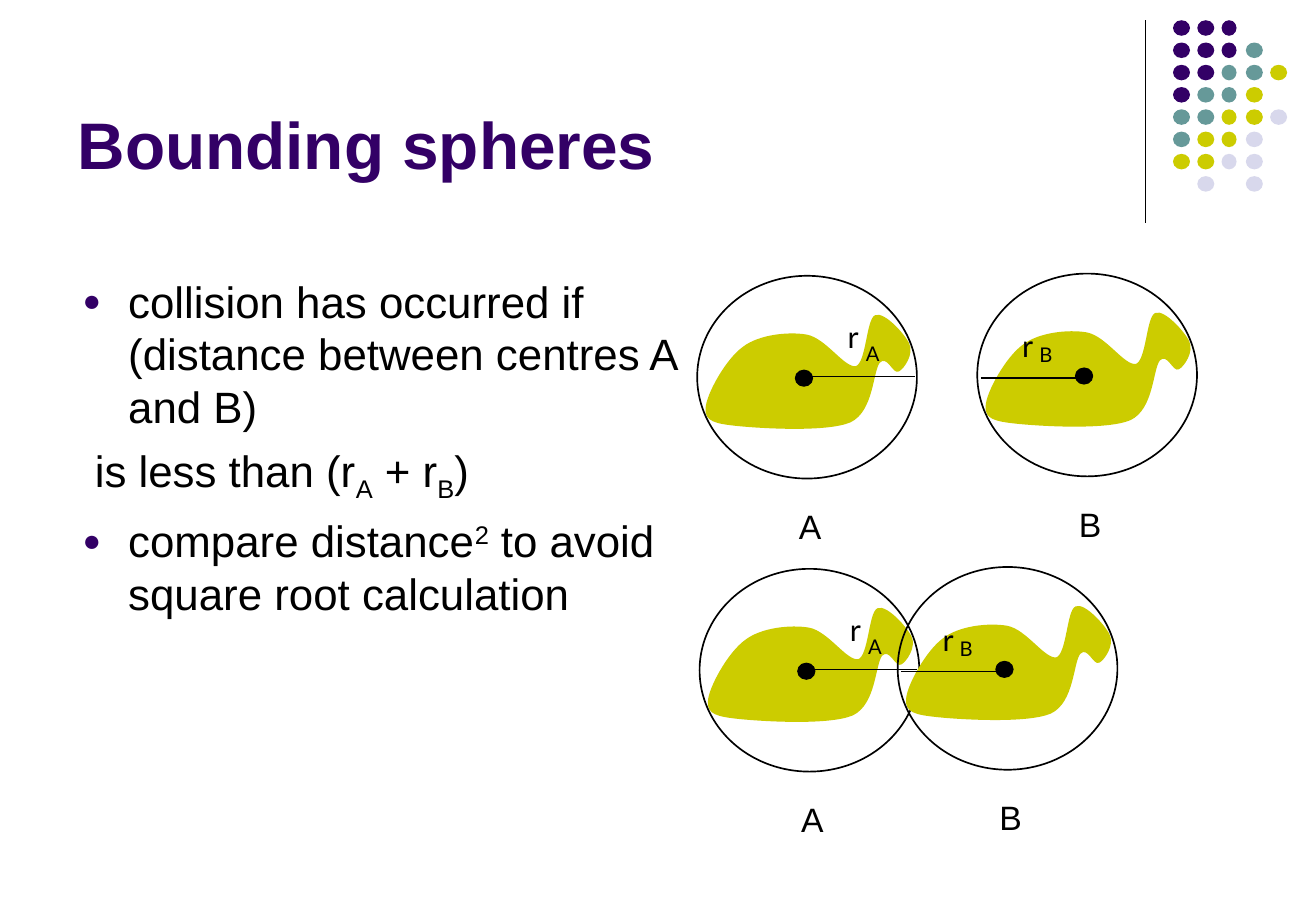
from lxml.etree import SubElement
from pptx import Presentation
from pptx.dml.color import RGBColor
from pptx.enum.shapes import MSO_CONNECTOR, MSO_SHAPE
from pptx.enum.text import MSO_ANCHOR, MSO_AUTO_SIZE, PP_ALIGN
from pptx.oxml.ns import qn
from pptx.util import Pt

PURPLE, TEAL, OLIVE, LILAC, BLACK = "330066", "669999", "CCCC00", "D8D8EC", "000000"
colour = RGBColor.from_string


def add_line(shapes, x1, y1, x2, y2):
    line = shapes.add_connector(MSO_CONNECTOR.STRAIGHT, Pt(x1), Pt(y1), Pt(x2), Pt(y2))
    line.line.color.rgb = colour(BLACK)
    line.line.width = Pt(0.75)
    SubElement(line._element.spPr, qn("a:effectLst"))


def set_font(paragraph, name, size, colour_hex, bold=False):
    paragraph.font.name = name
    paragraph.font.size = Pt(size)
    paragraph.font.color.rgb = colour(colour_hex)
    paragraph.font.bold = bold


presentation = Presentation()
presentation.slide_width = Pt(780.48)
presentation.slide_height = Pt(540)
slide = presentation.slides.add_slide(presentation.slide_layouts[1])

add_line(slide.shapes, 679.3, 12, 679.3, 132)

dot_colours = {"P": PURPLE, "T": TEAL, "Y": OLIVE, "L": LILAC}
dot_rows = ["PPP", "PPPT", "PPTTY", "PTTY", "TTYYL", "TYYL", "YYLL", " L L"]
dot_group = slide.shapes.add_group_shape()
for row, letters in enumerate(dot_rows):
    for column, letter in enumerate(letters):
        if letter == " ":
            continue
        dot = dot_group.shapes.add_shape(
            MSO_SHAPE.OVAL, Pt(695.7 + 14.4 * column), Pt(12 + 13.2 * row),
            Pt(8.9 if column == 2 else 10.1), Pt(9.2))
        dot.shadow.inherit = False
        dot.fill.solid()
        dot.fill.fore_color.rgb = colour(dot_colours[letter])
        dot.line.fill.background()

title = slide.shapes.title
title.left, title.top, title.width, title.height = Pt(38.9), Pt(9.4), Pt(643.7), Pt(102.2)
title.text_frame.text = "Bounding spheres"
title.text_frame.vertical_anchor = MSO_ANCHOR.BOTTOM
title.text_frame.auto_size = MSO_AUTO_SIZE.NONE
title_paragraph = title.text_frame.paragraphs[0]
title_paragraph.alignment = PP_ALIGN.LEFT
set_font(title_paragraph, "Arial", 39, PURPLE, True)

body = slide.placeholders[1]
body.left, body.top, body.width, body.height = Pt(41.8), Pt(159.1), Pt(384.5), Pt(324)
body.text_frame.auto_size = MSO_AUTO_SIZE.NONE
body_items = [
    (True, [("collision has occurred if (distance between centres A and B)", 0)]),
    (False, [(" is less than (r", 0), ("A", -25), (" + r", 0), ("B", -25), (")", 0)]),
    (True, [("compare distance", 0), ("2", 30), (" to avoid square root calculation", 0)]),
]
for index, (bulleted, pieces) in enumerate(body_items):
    paragraph = body.text_frame.add_paragraph() if index else body.text_frame.paragraphs[0]
    paragraph.space_before = Pt(6.5)
    properties = paragraph._p.get_or_add_pPr()
    properties.set("marL", str(Pt(27)))
    properties.set("indent", str(-Pt(27)))
    if bulleted:
        bullet_colour = SubElement(properties, qn("a:buClr"))
        SubElement(bullet_colour, qn("a:srgbClr"), val=PURPLE)
        SubElement(properties, qn("a:buSzPct"), val="70000")
        SubElement(properties, qn("a:buFont"), typeface="Arial")
        SubElement(properties, qn("a:buChar"), char="●")
    else:
        SubElement(properties, qn("a:buNone"))
    set_font(paragraph, "Arial", 26, BLACK)
    for text, baseline in pieces:
        run = paragraph.add_run()
        run.text = text
        if baseline:
            run._r.get_or_add_rPr().set("baseline", str(baseline * 1000))

blob_start = (5.5, 78.5)
blob_curve_points = [
    (5.8, 70.6), (17.3, 49.7), (27.4, 42.5),
    (36.7, 35.3), (54, 33.5), (64.8, 35.3),
    (76.3, 37.4), (87.1, 55.4), (94.3, 54),
    (100.8, 51.8), (100.8, 25.9), (105.8, 23.8),
    (110.9, 21.6), (123.1, 35.3), (125.3, 40.3),
    (128.2, 46.1), (122.4, 54.7), (119.5, 56.2),
    (116.6, 58.3), (113, 46.1), (108, 51.1),
    (103.7, 56.2), (104.4, 79.9), (90.7, 86.4),
    (77, 92.2), (38.9, 90), (24.5, 88.6),
    (10.1, 87.1), (5, 85.7), blob_start,
]

radius_layouts = {
    "A": {"line": (65.5, 128.9, 59.6), "r": (82.1, 21.6), "subscript": (92.9, 35.3)},
    "B": {"line": (2.2, 65.5, 61.9), "r": (19.6, 28.4), "subscript": (29.7, 37.4)},
}
spheres = [("A", 413.5, 163.5), ("B", 579.6, 162.2), ("A", 414.9, 337.2), ("B", 532.4, 336.1)]
for name, left, top in spheres:
    shapes = slide.shapes.add_group_shape().shapes
    builder = shapes.build_freeform(Pt(left + blob_start[0]), Pt(top + blob_start[1]))
    builder.add_line_segments(
        [(Pt(left + x), Pt(top + y)) for x, y in blob_curve_points], close=True)
    blob = builder.convert_to_shape()
    segments = list(blob._element.iter(qn("a:lnTo")))
    for first, second, third in zip(segments[::3], segments[1::3], segments[2::3]):
        curve = first.makeelement(qn("a:cubicBezTo"))
        first.addprevious(curve)
        for segment in (first, second, third):
            curve.append(segment[0])
            segment.getparent().remove(segment)

    sphere = shapes.add_shape(MSO_SHAPE.OVAL, Pt(left), Pt(top), Pt(130.3), Pt(120.2))
    centre = shapes.add_shape(
        MSO_SHAPE.OVAL, Pt(left + 58.3), Pt(top + 56), Pt(10.1), Pt(9.4))
    for shape, fill, line, width in [
            (blob, OLIVE, OLIVE, 1), (sphere, None, BLACK, 1), (centre, BLACK, BLACK, 0.75)]:
        shape.shadow.inherit = False
        if fill:
            shape.fill.solid()
            shape.fill.fore_color.rgb = colour(fill)
        else:
            shape.fill.background()
        shape.line.color.rgb = colour(line)
        shape.line.width = Pt(width)

    layout = radius_layouts[name]
    line_start, line_end, line_height = layout["line"]
    add_line(shapes, left + line_start, top + line_height, left + line_end, top + line_height)

    for text, (x, y), width, height, font_name, size, space, alignment in [
            (name, (47.5, 132.7), 38.9, 31.7, "Arial", 20, 0, PP_ALIGN.CENTER),
            ("r", layout["r"], 22.3, 28.8, "Lato", 18, 11.2, PP_ALIGN.LEFT),
            (name, layout["subscript"], 22.3, 21.6, "Lato", 12, 7.5, PP_ALIGN.LEFT)]:
        label = shapes.add_textbox(Pt(left + x), Pt(top + y), Pt(width), Pt(height))
        label.text_frame.word_wrap = True
        label.text_frame.text = text
        paragraph = label.text_frame.paragraphs[0]
        paragraph.alignment = alignment
        paragraph.space_before = Pt(space)
        set_font(paragraph, font_name, size, BLACK)

presentation.save("out.pptx")
